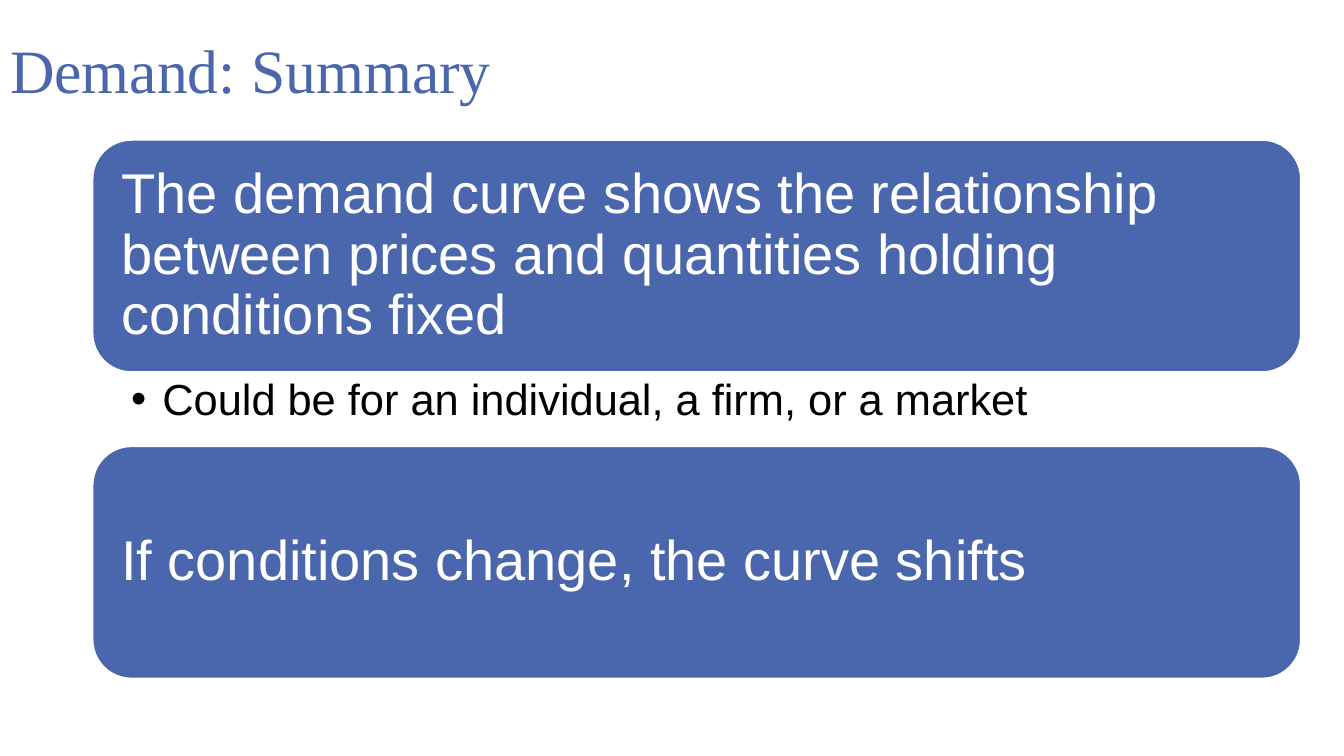
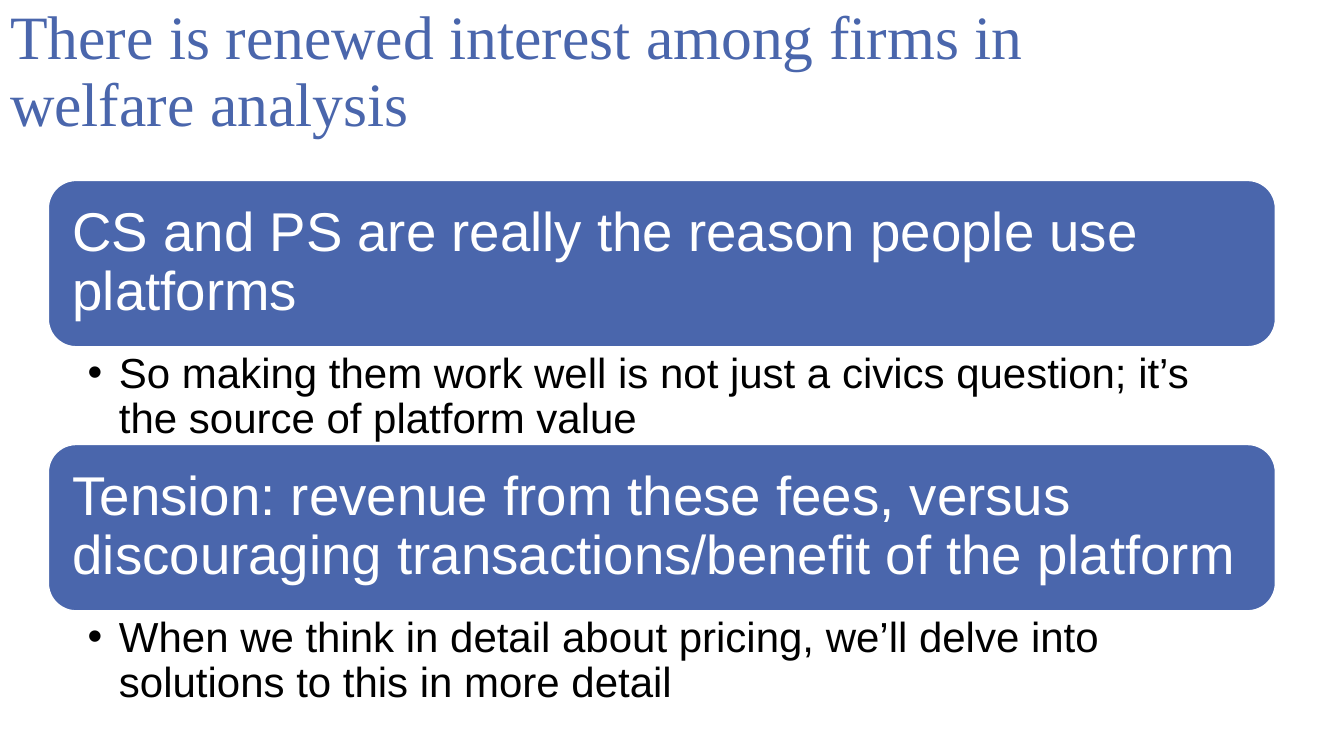
from lxml import etree
from pptx import Presentation
from pptx.dml.color import RGBColor
from pptx.enum.shapes import MSO_SHAPE, PP_PLACEHOLDER
from pptx.enum.text import MSO_ANCHOR, MSO_AUTO_SIZE, PP_ALIGN
from pptx.oxml.ns import qn
from pptx.util import Emu, Pt

ROUNDED = MSO_SHAPE.ROUNDED_RECTANGLE
TITLE = PP_PLACEHOLDER.TITLE
MIDDLE, TOP = MSO_ANCHOR.MIDDLE, MSO_ANCHOR.TOP
LEFT = PP_ALIGN.LEFT
NO_AUTOFIT = MSO_AUTO_SIZE.NONE
TITLE_AND_CONTENT, TWO_CONTENT = 1, 3
EMU_PER_PX = 9144


def px(length):
    return Emu(length * EMU_PER_PX)


def color(hex_value):
    return RGBColor.from_string(hex_value)


class Deck:
    BLUE, WHITE, BLACK = "4A66AC", "FFFFFF", "000000"
    TITLE_FONT, BODY_FONT = "Times New Roman", "Arial"
    BULLET_INDENT = 31

    def __init__(self):
        self.presentation = Presentation()
        self.presentation.slide_width = px(1333)
        self.presentation.slide_height = px(750)

    def add_slide(self, title, layout):
        self.slide = self.presentation.slides.add_slide(
            self.presentation.slide_layouts[layout])
        self.note_places = [place for place in self.slide.placeholders
                            if place.placeholder_format.type != TITLE]
        heading = self.slide.shapes.title
        self.place(heading, 0, 0, 1150, 145)
        self.set_text(heading, title, (10, 5, 10, 5), MIDDLE,
                      self.TITLE_FONT, 44, self.BLUE)

    def place(self, shape, left, top, width, height):
        box = {"left": left, "top": top, "width": width, "height": height}
        for side, length in box.items():
            setattr(shape, side, px(length))

    def set_text(self, shape, text, insets, anchor, font, size, ink, bullet=False):
        frame = shape.text_frame
        left, top, right, bottom = map(px, insets)
        frame_format = {"word_wrap": True, "auto_size": NO_AUTOFIT,
                        "vertical_anchor": anchor,
                        "margin_left": left, "margin_top": top,
                        "margin_right": right, "margin_bottom": bottom}
        for name, value in frame_format.items():
            setattr(frame, name, value)
        paragraph = frame.paragraphs[0]
        if bullet:
            self.add_bullet(paragraph)
        paragraph_format = {"alignment": LEFT, "line_spacing": 0.9,
                            "space_before": Pt(0)}
        for name, value in paragraph_format.items():
            setattr(paragraph, name, value)
        run = paragraph.add_run()
        run.text = text
        for name, value in {"name": font, "size": Pt(size)}.items():
            setattr(run.font, name, value)
        run.font.color.rgb = color(ink)

    def add_bullet(self, paragraph):
        properties = paragraph._p.get_or_add_pPr()
        indent = px(self.BULLET_INDENT)
        properties.set("marL", str(indent))
        properties.set("indent", str(-indent))
        etree.SubElement(properties, qn("a:buFont")).set("typeface", self.BODY_FONT)
        etree.SubElement(properties, qn("a:buChar")).set("char", "•")

    def add_point(self, text, box, inset, size):
        point = self.slide.shapes.add_shape(ROUNDED, *map(px, box))
        point.shadow.inherit = False
        point.fill.solid()
        point.fill.fore_color.rgb = color(self.BLUE)
        point.line.color.rgb = color(self.WHITE)
        point.line.width = Pt(1)
        self.set_text(point, text, (inset,) * 4, MIDDLE,
                      self.BODY_FONT, size, self.WHITE)

    def add_note(self, text, box, insets, size):
        note = self.note_places.pop(0)
        self.place(note, *box)
        self.set_text(note, text, insets, TOP,
                      self.BODY_FONT, size, self.BLACK, bullet=True)

    def add_points(self, points, left, top, width, point_height, note_height,
                   point_inset, note_insets, point_size, note_size):
        for index, (point, note) in enumerate(points):
            point_top = top + index * (point_height + note_height)
            self.add_point(point, (left, point_top, width, point_height),
                           point_inset, point_size)
            if note:
                self.add_note(note, (left, point_top + point_height, width, note_height),
                              note_insets, note_size)


def main():
    deck = Deck()

    deck.add_slide("Demand: Summary", TITLE_AND_CONTENT)
    deck.add_points(
        [("The demand curve shows the relationship between prices and "
          "quantities holding conditions fixed",
          "Could be for an individual, a firm, or a market"),
         ("If conditions change, the curve shifts", None)],
        left=92, top=139, width=1198, point_height=230, note_height=74,
        point_inset=17, note_insets=(38, 6, 31, 6), point_size=40, note_size=31)

    deck.add_slide("There is renewed interest among firms in welfare analysis",
                   TWO_CONTENT)
    deck.add_points(
        [("CS and PS are really the reason people use platforms",
          "So making them work well is not just a civics question; "
          "it’s the source of platform value"),
         ("Tension: revenue from these fees, versus discouraging "
          "transactions/benefit of the platform",
          "When we think in detail about pricing, we’ll delve into "
          "solutions to this in more detail")],
        left=48, top=179, width=1217, point_height=165, note_height=97,
        point_inset=16, note_insets=(39, 5, 30, 5), point_size=39, note_size=30)

    deck.presentation.save("out.pptx")


if __name__ == "__main__":
    main()
